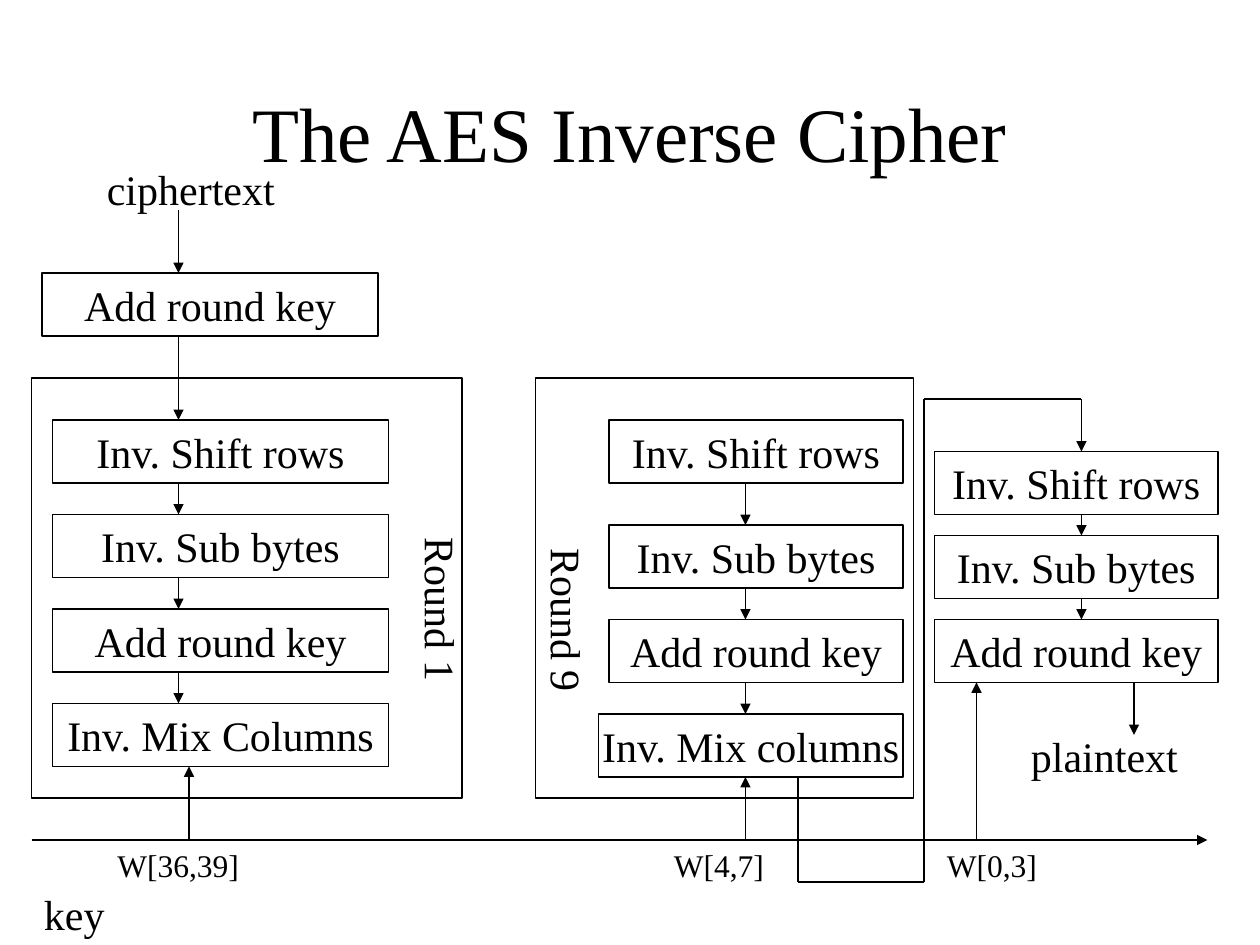
from itertools import pairwise

from lxml import etree
from pptx import Presentation
from pptx.dml.color import RGBColor
from pptx.enum import shapes, text
from pptx.oxml.ns import qn
from pptx.util import Inches, Pt

THEME = {
    "ink": RGBColor(0, 0, 0),
    "font": "Times New Roman",
    "title": Pt(44),
    "body": Pt(24),
    "small": Pt(18),
    "line": Pt(0.75),
}
UNIT = Inches(1) // 12  # the slide is a grid of 120 columns by 90 rows
BOX_H = 6

prs = Presentation()
prs.slide_width, prs.slide_height = 120 * UNIT, 90 * UNIT
s = prs.slides.add_slide(prs.slide_layouts[5])


def write(sp, words, size, align, **frame):
    tf = sp.text_frame
    for name, value in frame.items():
        setattr(tf, name, value)
    p = tf.paragraphs[0]
    p.alignment = align
    r = p.add_run()
    r.text = words
    for name, value in {"name": THEME["font"], "size": THEME[size]}.items():
        setattr(r.font, name, value)
    r.font.color.rgb = THEME["ink"]


def connect(start, end, arrow=True):
    c = s.shapes.add_connector(
        shapes.MSO_CONNECTOR.STRAIGHT, *(v * UNIT for v in (*start, *end)))
    c.line.color.rgb = THEME["ink"]
    c.line.width = THEME["line"]
    sp_pr = c.element.spPr
    if arrow:
        etree.SubElement(sp_pr.find(qn("a:ln")), qn("a:tailEnd"), type="triangle")
    etree.SubElement(sp_pr, qn("a:effectLst"))


# Title
title = s.shapes.title
for name, value in {"left": 9, "top": 5, "width": 102, "height": 15}.items():
    setattr(title, name, value * UNIT)
write(title, "The AES Inverse Cipher", "title", text.PP_ALIGN.CENTER,
      vertical_anchor=text.MSO_ANCHOR.MIDDLE, auto_size=text.MSO_AUTO_SIZE.NONE)

# Round frames and cipher steps: column, row, width, height, words
boxes = [
    (3, 36, 41, 40, ""),
    (51, 36, 36, 40, ""),
    (4, 26, 32, BOX_H, "Add round key"),
    (5, 40, 32, BOX_H, "Inv. Shift rows"),
    (5, 49, 32, BOX_H, "Inv. Sub bytes"),
    (5, 58, 32, BOX_H, "Add round key"),
    (5, 67, 32, BOX_H, "Inv. Mix Columns"),
    (58, 40, 28, BOX_H, "Inv. Shift rows"),
    (58, 50, 28, BOX_H, "Inv. Sub bytes"),
    (58, 59, 28, BOX_H, "Add round key"),
    (57, 68, 29, BOX_H, "Inv. Mix columns"),
    (89, 43, 27, BOX_H, "Inv. Shift rows"),
    (89, 51, 27, BOX_H, "Inv. Sub bytes"),
    (89, 59, 27, BOX_H, "Add round key"),
]
for *place, words in boxes:
    sp = s.shapes.add_shape(shapes.MSO_SHAPE.RECTANGLE, *(v * UNIT for v in place))
    sp.shadow.inherit = False
    sp.fill.background()
    sp.line.color.rgb = THEME["ink"]
    sp.line.width = THEME["line"]
    if words:
        write(sp, words, "body", text.PP_ALIGN.CENTER,
              vertical_anchor=text.MSO_ANCHOR.MIDDLE, word_wrap=False)

# Arrows from each step down to the next: column, rows of the steps
for col, rows in [(17, (26, 40, 49, 58, 67)), (71, (40, 50, 59, 68)), (103, (43, 51, 59))]:
    for upper, lower in pairwise(rows):
        connect((col, upper + BOX_H), (col, lower))

# Ciphertext in, plaintext out
connect((17, 20), (17, 26))
connect((108, 65), (108, 70))

# Key schedule axis and the round keys it feeds upwards
KEY_ROW = 80
connect((3, KEY_ROW), (115, KEY_ROW))
for col, row in [(18, 73), (71, 74), (93, 65)]:
    connect((col, KEY_ROW), (col, row))

# Route from round 9 to the last round
route = [(76, 74), (76, 84), (88, 84), (88, 38), (103, 38), (103, 43)]
for start, end in pairwise(route):
    connect(start, end, arrow=end == route[-1])

# Labels: column, row, width, height, words, size, wrap, rotation
labels = [
    (9, 15, 18.36, 6, "ciphertext", "body", False, 0),
    (97, 69, 20.3, 6, "plaintext", "body", True, 0),
    (3, 84, 8.16, 6, "key", "body", False, 0),
    (10, KEY_ROW, 14, 4.8, "W[36,39]", "small", True, 0),
    (63, KEY_ROW, 14, 4.8, "W[4,7]", "small", True, 0),
    (89, KEY_ROW, 14, 4.8, "W[0,3]", "small", True, 0),
    (34, 55.1, 16.1, 6, "Round 1", "body", False, 90),
    (46, 56.1, 16.1, 6, "Round 9", "body", False, 90),
]
for *place, words, size, wrap, rotation in labels:
    sp = s.shapes.add_textbox(*(round(v * UNIT) for v in place))
    sp.rotation = rotation
    write(sp, words, size, text.PP_ALIGN.LEFT, word_wrap=wrap,
          auto_size=text.MSO_AUTO_SIZE.SHAPE_TO_FIT_TEXT)

prs.save("out.pptx")
